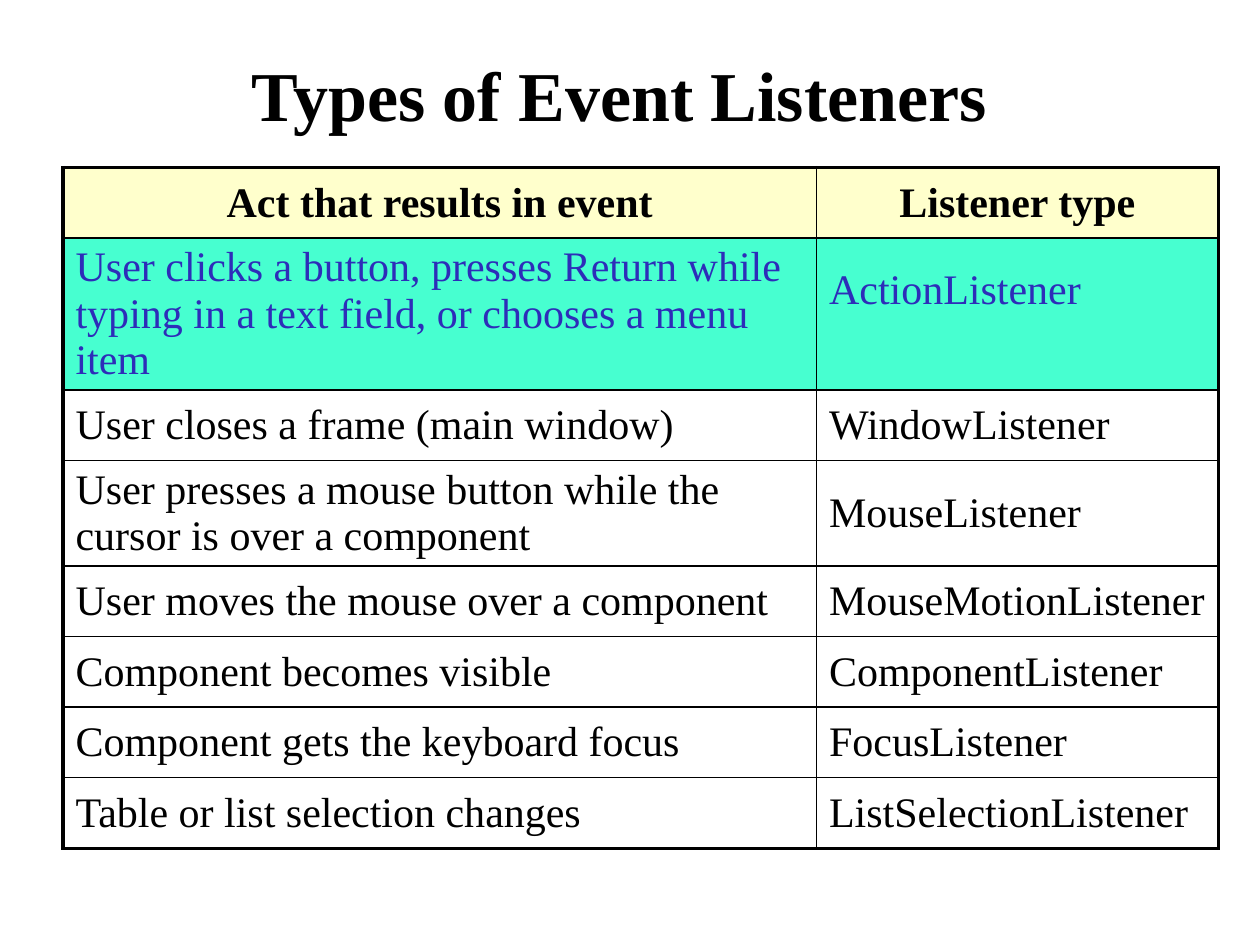
from dataclasses import dataclass
from typing import Optional

from lxml.etree import SubElement
from pptx import Presentation
from pptx.dml.color import RGBColor as Color
from pptx.enum.text import MSO_ANCHOR as Anchor, PP_ALIGN as Align
from pptx.oxml.ns import qn
from pptx.util import Inches, Pt


@dataclass(frozen=True)
class Theme:
    font: str = "Times New Roman"
    head: Pt = Pt(40)
    body: Pt = Pt(24)
    thin: Pt = Pt(1)
    thick: Pt = Pt(2.25)
    ink: str = "000000"
    blue: str = "2D2DB9"
    cream: str = "FFFFCC"
    mint: str = "47FFD0"


THEME = Theme()


@dataclass(frozen=True)
class Row:
    act: str
    kind: str
    fill: Optional[str] = None
    ink: str = THEME.ink
    bold: bool = False
    align: Align = Align.LEFT
    lift: float = 0.05


ROWS = [
    Row("Act that results in event", "Listener type", THEME.cream,
        bold=True, align=Align.CENTER),
    Row("User clicks a button, presses Return while typing in a text field, "
        "or chooses a menu item", "ActionListener", THEME.mint, THEME.blue,
        lift=0.42),
    Row("User closes a frame (main window)", "WindowListener"),
    Row("User presses a mouse button while the cursor is over a component",
        "MouseListener"),
    Row("User moves the mouse over a component", "MouseMotionListener"),
    Row("Component becomes visible", "ComponentListener"),
    Row("Component gets the keyboard focus", "FocusListener"),
    Row("Table or list selection changes", "ListSelectionListener"),
]
WIDTHS = [5.98, 3.19]
HEIGHT = 0.56


def style(par, size: Pt, ink: str, bold: bool, align: Align) -> None:
    par.alignment = align
    font = par.font
    font.name, font.size, font.bold = THEME.font, size, bold
    font.color.rgb = Color.from_string(ink)


def edge(cell, side: str, outer: bool) -> None:
    width = THEME.thick if outer else THEME.thin
    line = SubElement(cell._tc.get_or_add_tcPr(), qn(f"a:ln{side}"), w=str(width))
    fill = SubElement(line, qn("a:solidFill"))
    SubElement(fill, qn("a:srgbClr"), val=THEME.ink)


def draw_cell(cell, text: str, row: Row, edges: dict[str, bool]) -> None:
    cell.text = text
    cell.vertical_anchor = Anchor.MIDDLE
    style(cell.text_frame.paragraphs[0], THEME.body, row.ink, row.bold, row.align)
    for side, outer in edges.items():
        edge(cell, side, outer)
    if row.fill:
        cell.fill.solid()
        cell.fill.fore_color.rgb = Color.from_string(row.fill)
    else:
        cell.fill.background()


def draw_table(slide) -> None:
    count = len(ROWS)
    table = slide.shapes.add_table(
        count, len(WIDTHS), Inches(0.5), Inches(1.33),
        Inches(sum(WIDTHS)), Inches(HEIGHT * count)).table
    table.first_row = table.horz_banding = False
    for col, width in zip(table.columns, WIDTHS):
        col.width = Inches(width)
    for y, row in enumerate(ROWS):
        table.rows[y].height = Inches(HEIGHT)
        for x, text in enumerate((row.act, row.kind)):
            edges = {"L": x == 0, "R": x == len(WIDTHS) - 1,
                     "T": y == 0, "B": y == count - 1}
            draw_cell(table.cell(y, x), text, row, edges)
        table.cell(y, 1).margin_bottom = Inches(row.lift)


def draw_title(slide) -> None:
    title = slide.shapes.title
    title.left, title.top = Inches(0.75), Inches(0.33)
    title.width, title.height = Inches(8.33), Inches(0.83)
    title.text = "Types of Event Listeners"
    title.text_frame.vertical_anchor = Anchor.MIDDLE
    style(title.text_frame.paragraphs[0], THEME.head, THEME.ink, True, Align.CENTER)


def main() -> None:
    deck = Presentation()
    deck.slide_width, deck.slide_height = Inches(10), Inches(7.5)
    slide = deck.slides.add_slide(deck.slide_layouts[5])
    draw_title(slide)
    draw_table(slide)
    deck.save("out.pptx")


main()
